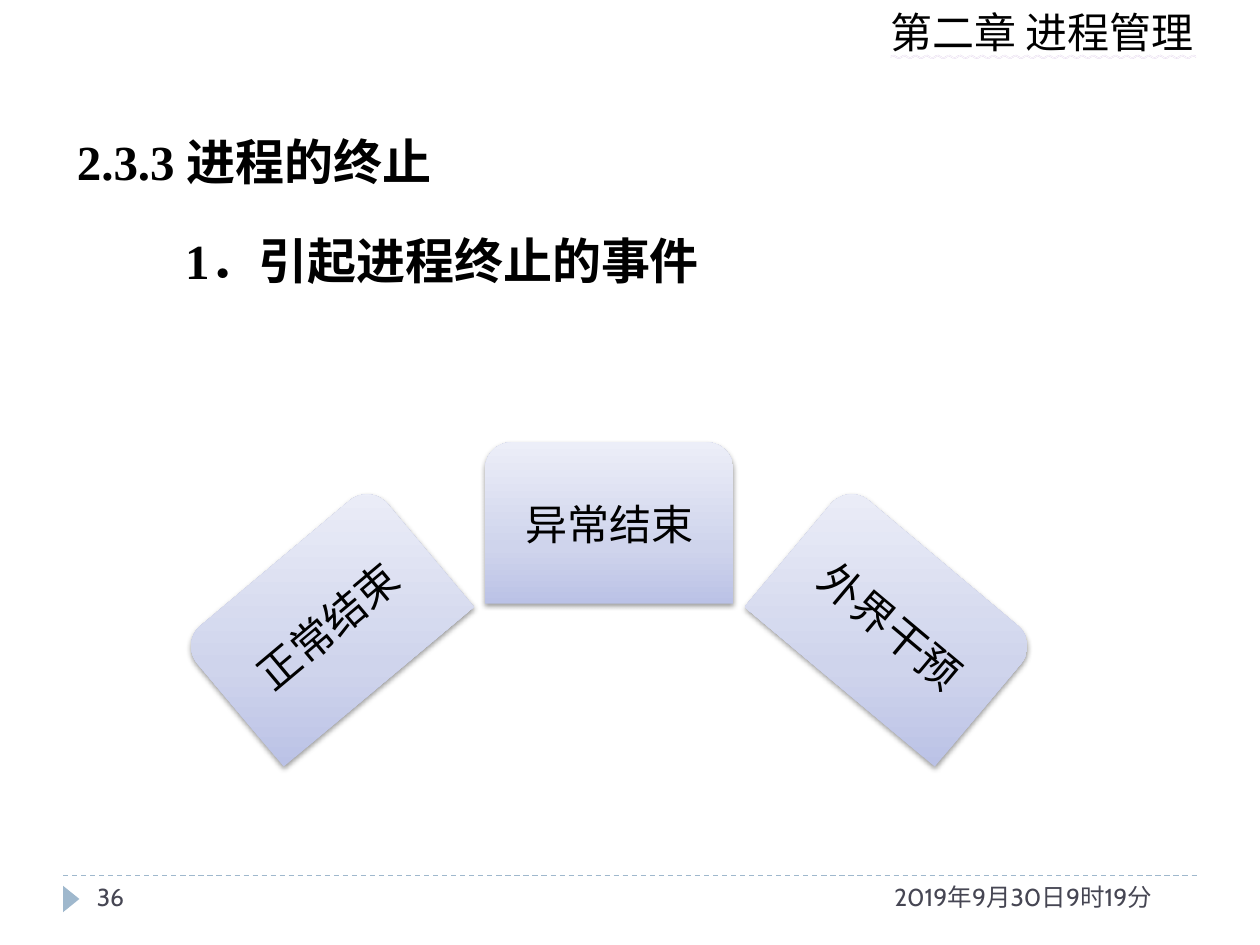
import pptx
import pptx.dml.color
import pptx.enum.dml
import pptx.enum.shapes
import pptx.enum.text
import pptx.oxml
import pptx.oxml.ns
import pptx.util

Inches = pptx.util.Inches
Pt = pptx.util.Pt
SHAPE = pptx.enum.shapes.MSO_SHAPE
NS = pptx.oxml.ns.nsdecls("a")

COLORS = {
    "text": "000000",
    "footer": "464653",
    "accent": "9FB8CD",
    "wave": "CDB5DE",
    "card_dark": "BBC2E6",
    "card_mid": "CFD4EC",
    "card_light": "ECEEF8",
}


def rgb(name):
    return pptx.dml.color.RGBColor.from_string(COLORS[name])


def write(p, text, size, font="Cabin", color="text", bold=False):
    """Add one formatted run to a paragraph."""
    r = p.add_run()
    r.text = text
    r.font.size = Pt(size)
    r.font.bold = bold
    r.font.color.rgb = rgb(color)
    r.font.name = font
    return r


def add_text(s, text, left, top, width, height, wrap=True, **fmt):
    tb = s.shapes.add_textbox(Inches(left), Inches(top), Inches(width), Inches(height))
    tb.text_frame.word_wrap = wrap
    return write(tb.text_frame.paragraphs[0], text, **fmt)


def add_header(s, text):
    r = add_text(s, text, 6.97, 0, 2.66, 0.5, wrap=False, size=24)
    r.font.underline = pptx.enum.text.MSO_UNDERLINE.WAVY_DOUBLE_LINE
    wave = pptx.oxml.parse_xml(
        f'<a:uFill {NS}><a:solidFill><a:srgbClr val="{COLORS["wave"]}"/>'
        "</a:solidFill></a:uFill>")
    r.font.fill  # the text fill stands before the underline fill
    r._r.rPr.find(pptx.oxml.ns.qn("a:latin")).addprevious(wave)


def add_body(s, lines):
    """Fill the body placeholder with (text, indent) lines."""
    body = s.placeholders[1]
    body.left, body.top = Inches(0.51), Inches(0.76)
    body.width, body.height = Inches(8.98), Inches(1.81)
    tf = body.text_frame
    tf.auto_size = pptx.enum.text.MSO_AUTO_SIZE.NONE
    for i, (text, indent) in enumerate(lines):
        p = tf.add_paragraph() if i else tf.paragraphs[0]
        p.line_spacing = 1.5
        p.space_before = Pt(6)
        pPr = p._p.get_or_add_pPr()
        pPr.set("marL", str(Inches(indent)))
        pPr.set("indent", "0")
        pPr.append(pptx.oxml.parse_xml(f"<a:buNone {NS}/>"))
        write(p, text, 28, font="Times New Roman", bold=True)


def add_card(s, text, left, top, rotation):
    sp = s.shapes.add_shape(SHAPE.ROUND_2_SAME_RECTANGLE, Inches(left), Inches(top),
                            Inches(1.97), Inches(1.28))
    sp.rotation = rotation
    sp.line.fill.background()
    sp.shadow.inherit = False

    # Gradient and shadow stay upright when the card turns
    stops = "".join(
        f'<a:gs pos="{pos * 1000}"><a:srgbClr val="{COLORS[name]}"/></a:gs>'
        for pos, name in ((0, "card_dark"), (35, "card_mid"), (100, "card_light")))
    spPr = sp._element.spPr
    spPr.find(pptx.oxml.ns.qn("a:prstGeom")).addnext(pptx.oxml.parse_xml(
        f'<a:gradFill {NS} rotWithShape="0"><a:gsLst>{stops}</a:gsLst>'
        '<a:lin ang="16200000" scaled="0"/></a:gradFill>'))
    spPr.find(pptx.oxml.ns.qn("a:effectLst")).append(pptx.oxml.parse_xml(
        f'<a:outerShdw {NS} blurRad="{Pt(3.1)}" dist="{Pt(1.6)}" dir="5400000" '
        'rotWithShape="0"><a:srgbClr val="000000"><a:alpha val="38000"/>'
        "</a:srgbClr></a:outerShdw>"))

    tf = sp.text_frame
    tf.word_wrap = True
    tf.vertical_anchor = pptx.enum.text.MSO_ANCHOR.MIDDLE
    tf.margin_top = tf.margin_bottom = Inches(0.03)
    p = tf.paragraphs[0]
    p.alignment = pptx.enum.text.PP_ALIGN.CENTER
    p.line_spacing = 0.9
    write(p, text, 24)


def add_footer(s, number, date):
    line = s.shapes.add_connector(pptx.enum.shapes.MSO_CONNECTOR.STRAIGHT,
                                  Inches(0.5), Inches(6.95), Inches(9.5), Inches(6.95))
    line.line.color.rgb = rgb("accent")
    line.line.width = Pt(0.75)
    line.line.dash_style = pptx.enum.dml.MSO_LINE.DASH
    line._element.spPr.append(pptx.oxml.parse_xml(f"<a:effectLst {NS}/>"))

    marker = s.shapes.add_shape(SHAPE.ISOSCELES_TRIANGLE, Inches(0.46), Inches(7.07),
                                Inches(0.21), Inches(0.13))
    marker.rotation = 90
    marker.shadow.inherit = False
    marker.fill.solid()
    marker.fill.fore_color.rgb = rgb("accent")
    marker.line.fill.background()

    add_text(s, date, 7, 6.95, 2.5, 0.4, size=14, color="footer")
    add_text(s, number, 0.67, 6.95, 2.17, 0.4, size=14, color="footer")


def main():
    prs = pptx.Presentation()
    prs.slide_width, prs.slide_height = Inches(10), Inches(7.5)
    s = prs.slides.add_slide(prs.slide_layouts[1])
    title = s.shapes.title._element
    title.getparent().remove(title)

    # Chapter header, footer and headings
    add_header(s, "第二章 进程管理")
    add_footer(s, "36", "2019年9月30日9时19分")
    add_body(s, [("2.3.3 进程的终止", 0), ("1．引起进程终止的事件", 0.86)])

    # Arc of events around the centre card
    centre, step = 3.85, 2.24
    for i, text in enumerate(("正常结束", "异常结束", "外界干预"), start=-1):
        add_card(s, text, centre + i * step, 3.51 + abs(i) * 0.81, i * 40 % 360)

    prs.save("out.pptx")


if __name__ == "__main__":
    main()
